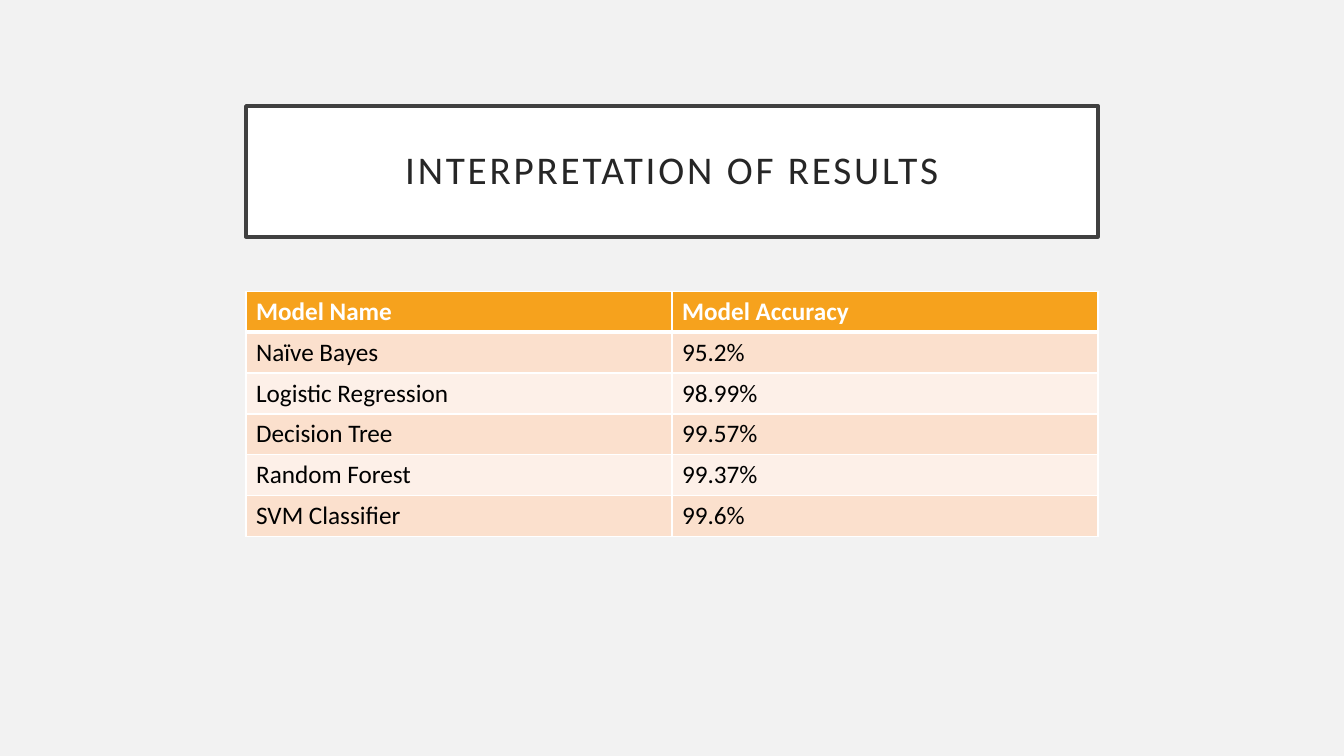
from dataclasses import dataclass

from lxml.etree import SubElement
from pptx import Presentation
from pptx.dml.color import RGBColor
from pptx.enum.text import MSO_ANCHOR, MSO_AUTO_SIZE, PP_ALIGN
from pptx.oxml.ns import qn
from pptx.slide import Slide
from pptx.table import _Cell
from pptx.text.text import _Paragraph, _Run
from pptx.util import Cm, Pt

FONT = "Calibri"
COLORS = {
    "back": "F2F2F2",
    "white": "FFFFFF",
    "frame": "404040",
    "title": "262626",
    "text": "000000",
    "head": "F6A21D",
    "odd": "FBE0CD",
    "even": "FDF0E8",
}
LEFT, WIDTH = Cm(6.2), Cm(21.47)
ROW_HEIGHT = Cm(1.03)


@dataclass(frozen=True)
class Model:
    name: str
    score: str


HEAD = Model("Model Name", "Model Accuracy")
MODELS = [
    Model("Naïve Bayes", "95.2%"),
    Model("Logistic Regression", "98.99%"),
    Model("Decision Tree", "99.57%"),
    Model("Random Forest", "99.37%"),
    Model("SVM Classifier", "99.6%"),
]


def color(name: str) -> RGBColor:
    return RGBColor.from_string(COLORS[name])


def add_run(para: _Paragraph, text: str, size: int, tint: str, bold: bool = False) -> _Run:
    run = para.add_run()
    run.text = text
    run.font.name = FONT
    run.font.size = Pt(size)
    run.font.bold = bold
    run.font.color.rgb = color(tint)
    return run


def add_title(slide: Slide, text: str) -> None:
    title = slide.shapes.title
    title.left, title.top, title.width, title.height = LEFT, Cm(2.67), WIDTH, Cm(3.3)
    title.fill.solid()
    title.fill.fore_color.rgb = color("white")
    title.line.color.rgb = color("frame")
    title.line.width = Pt(2.5)
    frame = title.text_frame
    frame.word_wrap = True
    frame.auto_size = MSO_AUTO_SIZE.NONE
    frame.vertical_anchor = MSO_ANCHOR.MIDDLE
    frame.margin_left = frame.margin_right = Cm(0.5)
    frame.margin_top = frame.margin_bottom = Cm(0.5)
    para = frame.paragraphs[0]
    para.alignment = PP_ALIGN.CENTER
    para.line_spacing = 0.9
    run = add_run(para, text, 28, "title")
    run.font._element.set("spc", "200")


def add_borders(cell: _Cell, top: int, bottom: int) -> None:
    """Draw white cell borders; top and bottom are widths in points."""
    props = cell._tc.get_or_add_tcPr()
    for side, width in (("L", 1), ("R", 1), ("T", top), ("B", bottom)):
        line = SubElement(props, qn(f"a:ln{side}"), w=str(Pt(width)))
        fill = SubElement(line, qn("a:solidFill"))
        SubElement(fill, qn("a:srgbClr"), val=COLORS["white"])


def add_models(slide: Slide, rows: list[Model]) -> None:
    table = slide.shapes.add_table(
        len(rows), 2, LEFT, Cm(7.34), WIDTH, ROW_HEIGHT * len(rows)
    ).table
    for i, model in enumerate(rows):
        table.rows[i].height = ROW_HEIGHT
        head = i == 0
        fill = "head" if head else ("odd" if i % 2 else "even")
        for j, text in enumerate((model.name, model.score)):
            cell = table.cell(i, j)
            add_borders(cell, 3 if i == 1 else 1, 3 if head else 1)
            cell.fill.solid()
            cell.fill.fore_color.rgb = color(fill)
            para = cell.text_frame.paragraphs[0]
            add_run(para, text, 18, "white" if head else "text", head)


def main() -> None:
    deck = Presentation()
    deck.slide_width, deck.slide_height = Cm(33.87), Cm(19.05)
    slide = deck.slides.add_slide(deck.slide_layouts.get_by_name("Title Only"))
    slide.background.fill.solid()
    slide.background.fill.fore_color.rgb = color("back")
    add_title(slide, "INTERPRETATION OF RESULTS")
    add_models(slide, [HEAD, *MODELS])
    deck.save("out.pptx")


if __name__ == "__main__":
    main()
